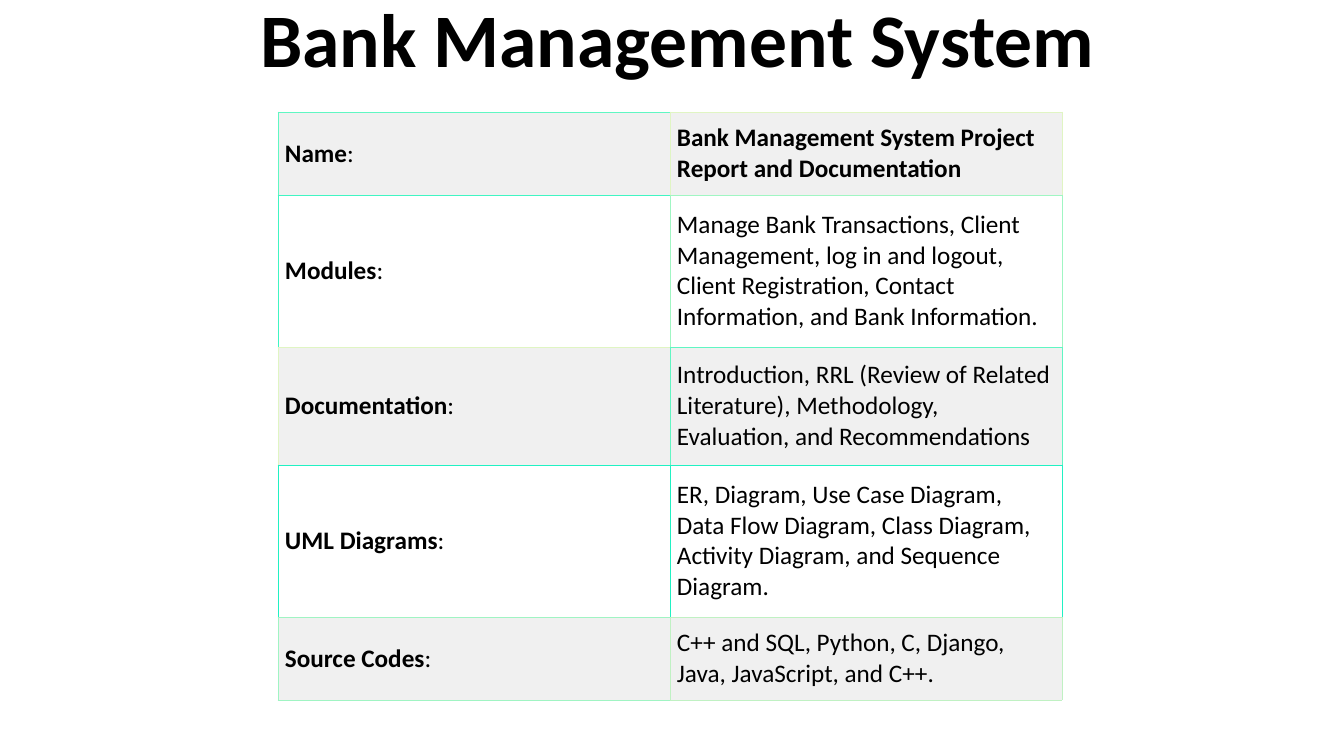
"""Build the overview slide of the bank management system project."""
from dataclasses import dataclass

from lxml import etree
from pptx import Presentation, util as u
from pptx.dml.color import RGBColor
from pptx.enum import text
from pptx.oxml.ns import qn

EMU_PER_PX = 914400 / 100.8


@dataclass(frozen=True)
class Theme:
    """Hold the colours, font and type sizes of the slide."""
    font: str = "Calibri"
    ink: str = "000000"
    bands: tuple = ("F0F0F0", "FFFFFF")
    title_size: int = 54
    body_size: int = 18
    border_width: float = 0.6


THEME = Theme()
ROW_HEIGHTS = (83, 152, 118, 152, 83)
COLUMN_WIDTH = 392
DETAILS = (
    ("Name", "Bank Management System Project Report and Documentation"),
    ("Modules", "Manage Bank Transactions, Client Management, log in and logout, "
                "Client Registration, Contact Information, and Bank Information."),
    ("Documentation", "Introduction, RRL (Review of Related Literature), Methodology, "
                      "Evaluation, and Recommendations"),
    ("UML Diagrams", "ER, Diagram, Use Case Diagram, Data Flow Diagram, Class Diagram, "
                     "Activity Diagram, and Sequence Diagram."),
    ("Source Codes", "C++ and SQL, Python, C, Django, Java, JavaScript, and C++."),
)
BORDERS_LRTB = (
    ("60F7C3 E0F5C3 60F7C3 40F5C3", "E0F5C3 E0F5C3 E0F5C3 A0F6C3"),
    ("40F5C3 A0F6C3 40F5C3 E0F5C3", "A0F6C3 A0F6C3 A0F6C3 60F6C3"),
    ("E0F5C3 60F6C3 E0F5C3 20F1C3", "60F6C3 60F6C3 60F6C3 20F1C3"),
    ("20F1C3 20F1C3 20F1C3 A0F4C3", "20F1C3 20F1C3 20F1C3 C0F1C3"),
    ("A0F4C3 C0F1C3 A0F4C3 A0F4C3", "C0F1C3 C0F1C3 C0F1C3 C0F1C3"),
)


def px(length):
    """Turn whole pixels into EMU."""
    return u.Emu(round(length * EMU_PER_PX))


def style_run(run, size, bold):
    """Give a run the slide's font and ink."""
    run.font.name = THEME.font
    run.font.size = u.Pt(size)
    run.font.bold = bold
    run.font.color.rgb = RGBColor.from_string(THEME.ink)


def set_title(title, wording):
    """Place the heading so that it grows upward from its baseline box."""
    title.left, title.top, title.width, title.height = map(px, (196, 78, 980, 11))
    frame = title.text_frame
    frame.text = wording
    frame.word_wrap = True
    frame.auto_size = text.MSO_AUTO_SIZE.NONE
    frame.vertical_anchor = text.MSO_ANCHOR.BOTTOM
    heading = frame.paragraphs[0]
    heading.alignment = text.PP_ALIGN.CENTER
    heading.line_spacing = 0.9
    style_run(heading.runs[0], THEME.title_size, True)


def set_borders(cell, colours):
    """Draw the left, right, top and bottom borders of a cell."""
    properties = cell._tc.get_or_add_tcPr()
    for side, colour in zip("LRTB", colours.split()):
        line = etree.SubElement(properties, qn(f"a:ln{side}"),
                                w=str(u.Pt(THEME.border_width)))
        fill = etree.SubElement(line, qn("a:solidFill"))
        etree.SubElement(fill, qn("a:srgbClr"), val=colour)


def fill_cell(cell, parts, band, borders):
    """Write (wording, bold) parts into a cell and format it."""
    cell.margin_left = cell.margin_right = px(7)
    cell.margin_top = cell.margin_bottom = px(7)
    cell.vertical_anchor = text.MSO_ANCHOR.MIDDLE
    set_borders(cell, borders)
    cell.fill.solid()
    cell.fill.fore_color.rgb = RGBColor.from_string(band)
    paragraph = cell.text_frame.paragraphs[0]
    for wording, bold in parts:
        run = paragraph.add_run()
        run.text = wording
        style_run(run, THEME.body_size, bold)


def add_details_table(slide):
    """Add the two-column table of project details."""
    details = slide.shapes.add_table(
        len(DETAILS), 2, px(278), px(112),
        px(2 * COLUMN_WIDTH), px(sum(ROW_HEIGHTS))).table
    details.first_row = details.horz_banding = False
    for column in details.columns:
        column.width = px(COLUMN_WIDTH)
    for index, (label, description) in enumerate(DETAILS):
        details.rows[index].height = px(ROW_HEIGHTS[index])
        band = THEME.bands[index % 2]
        contents = ([(label, True), (":", False)], [(description, index == 0)])
        for column, parts in enumerate(contents):
            fill_cell(details.cell(index, column), parts, band,
                      BORDERS_LRTB[index][column])


def main():
    """Build and save the slide."""
    deck = Presentation()
    deck.slide_width, deck.slide_height = px(1344), px(756)
    slide = deck.slides.add_slide(deck.slide_layouts[5])
    set_title(slide.shapes.title, "Bank Management System ")
    add_details_table(slide)
    deck.save("out.pptx")


if __name__ == "__main__":
    main()
